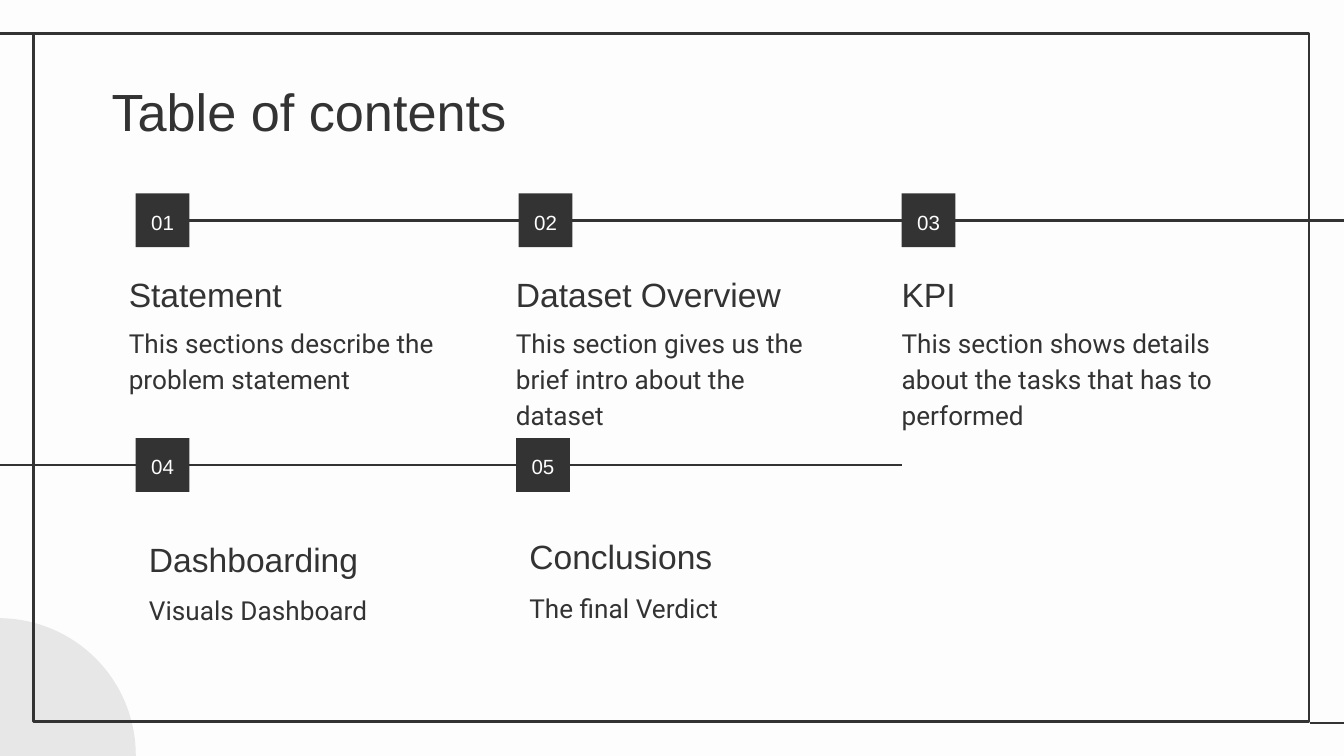
from lxml import etree
from pptx import Presentation
from pptx.dml.color import RGBColor
from pptx.enum import shapes, text
from pptx.oxml.ns import qn
from pptx.util import Inches, Pt

COLORS = {"paper": "FDFDFD", "ink": "333333", "circle": "E8E7E7"}
TITLE = "Table of contents"
# number, heading, description, badge (left, top), heading (left, top), body top
SECTIONS = [
    ("01", "Statement", "This sections describe the problem statement",
     (1.01, 1.44), (0.86, 2.02), 2.3),
    ("02", "Dataset Overview",
     "This section gives us the brief intro about the dataset",
     (3.86, 1.44), (3.74, 2.02), 2.3),
    ("03", "KPI",
     "This section shows details about the tasks that has to performed",
     (6.71, 1.44), (6.61, 2.02), 2.3),
    ("04", "Dashboarding", "Visuals Dashboard",
     (1.01, 3.26), (1.01, 3.99), 4.29),
    ("05", "Conclusions", "The final Verdict",
     (3.84, 3.26), (3.84, 3.97), 4.27),
]
FRAME_TAILS = [((0.26, 0.25), (-0.02, 0.25)), ((10.03, 5.38), (9.75, 5.38))]
BADGE = 0.4
TEXT_WIDTH = 2.52
HEADING_HEIGHT, BODY_HEIGHT = 0.42, 0.63

prs = Presentation()
prs.slide_width = Inches(10)
prs.slide_height = prs.slide_width * 9 // 16
s = prs.slides.add_slide(prs.slide_layouts[5])


def color(name):
    return RGBColor.from_string(COLORS[name])


def write(sp, content, size, font="Arial", ink="ink", spacing=1.15,
          align=text.PP_ALIGN.LEFT, anchor=text.MSO_ANCHOR.TOP):
    tf = sp.text_frame
    tf.word_wrap = True
    tf.auto_size = text.MSO_AUTO_SIZE.NONE
    tf.vertical_anchor = anchor
    tf.margin_left = tf.margin_right = Inches(0.1)
    tf.margin_top = tf.margin_bottom = Inches(0.1)
    p = tf.paragraphs[0]
    p.alignment, p.line_spacing = align, spacing
    r = p.add_run()
    r.text = content
    r.font.size, r.font.name = Pt(size), font
    r.font.color.rgb = color(ink)


def add_text(left, top, height, content, size, **style):
    box = s.shapes.add_textbox(Inches(left), Inches(top),
                               Inches(TEXT_WIDTH), Inches(height))
    write(box, content, size, **style)


def add_shape(kind, left, top, width, height, fill=None, line=None):
    sp = s.shapes.add_shape(kind, Inches(left), Inches(top),
                            Inches(width), Inches(height))
    sp.shadow.inherit = False
    if fill:
        sp.fill.solid()
        sp.fill.fore_color.rgb = color(fill)
    else:
        sp.fill.background()
    if line:
        sp.line.color.rgb = color(line)
        sp.line.width = Pt(1.5)
    else:
        sp.line.fill.background()
    return sp


def add_line(start, end):
    cx = s.shapes.add_connector(shapes.MSO_CONNECTOR.STRAIGHT,
                                *map(Inches, start + end))
    cx.line.color.rgb = color("ink")
    cx.line.width = Pt(1.5)
    etree.SubElement(cx._element.spPr, qn("a:effectLst"))
    return cx


s.background.fill.solid()
s.background.fill.fore_color.rgb = color("paper")

title = s.shapes.title
title.left, title.top = Inches(0.73), Inches(0.49)
title.width, title.height = Inches(8.43), Inches(0.63)
write(title, TITLE, 28, spacing=1.0)

add_shape(shapes.MSO_SHAPE.OVAL, -1.03, 4.6, 2.04, 2.04, fill="circle")
add_shape(shapes.MSO_SHAPE.RECTANGLE, 0.25, 0.25, 9.49, 5.12, line="ink")
for start, end in FRAME_TAILS:
    add_line(start, end)
add_line((6.71, 3.46), (-0.18, 3.46))

for number, heading, body, (x, y), (left, top), body_top in SECTIONS:
    badge = add_shape(shapes.MSO_SHAPE.RECTANGLE, x, y, BADGE, BADGE,
                      fill="ink")
    write(badge, number, 11, ink="paper", align=text.PP_ALIGN.CENTER,
          anchor=text.MSO_ANCHOR.MIDDLE)
    if number == "01":  # later badges cover the line that starts here
        add_line((x + BADGE, y + BADGE / 2),
                 (10.17, y + BADGE / 2)).begin_connect(badge, 3)
    add_text(left, top, HEADING_HEIGHT, heading, 18,
             anchor=text.MSO_ANCHOR.BOTTOM)
    add_text(left, body_top, BODY_HEIGHT, body, 14, font="Roboto")

prs.save("out.pptx")
